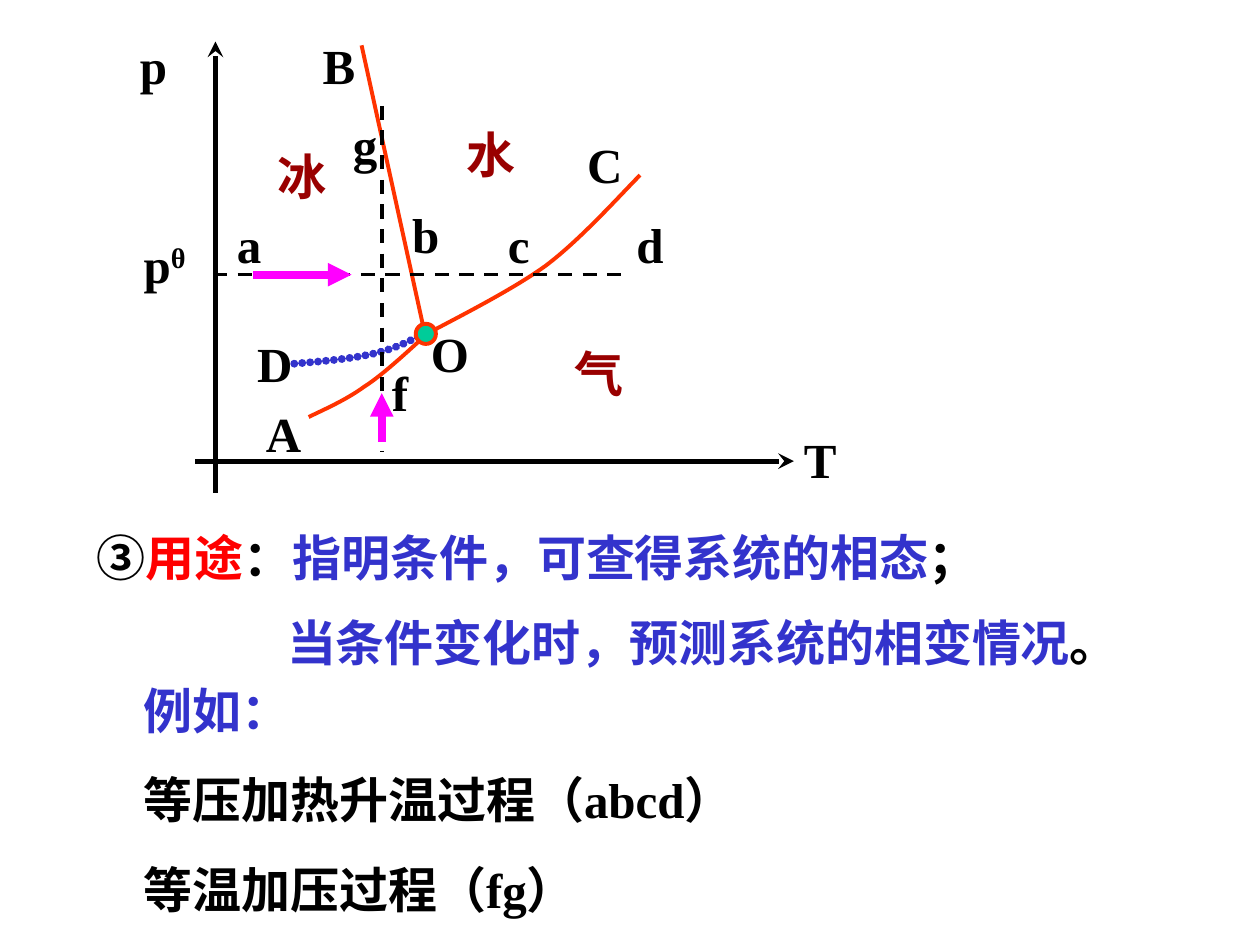
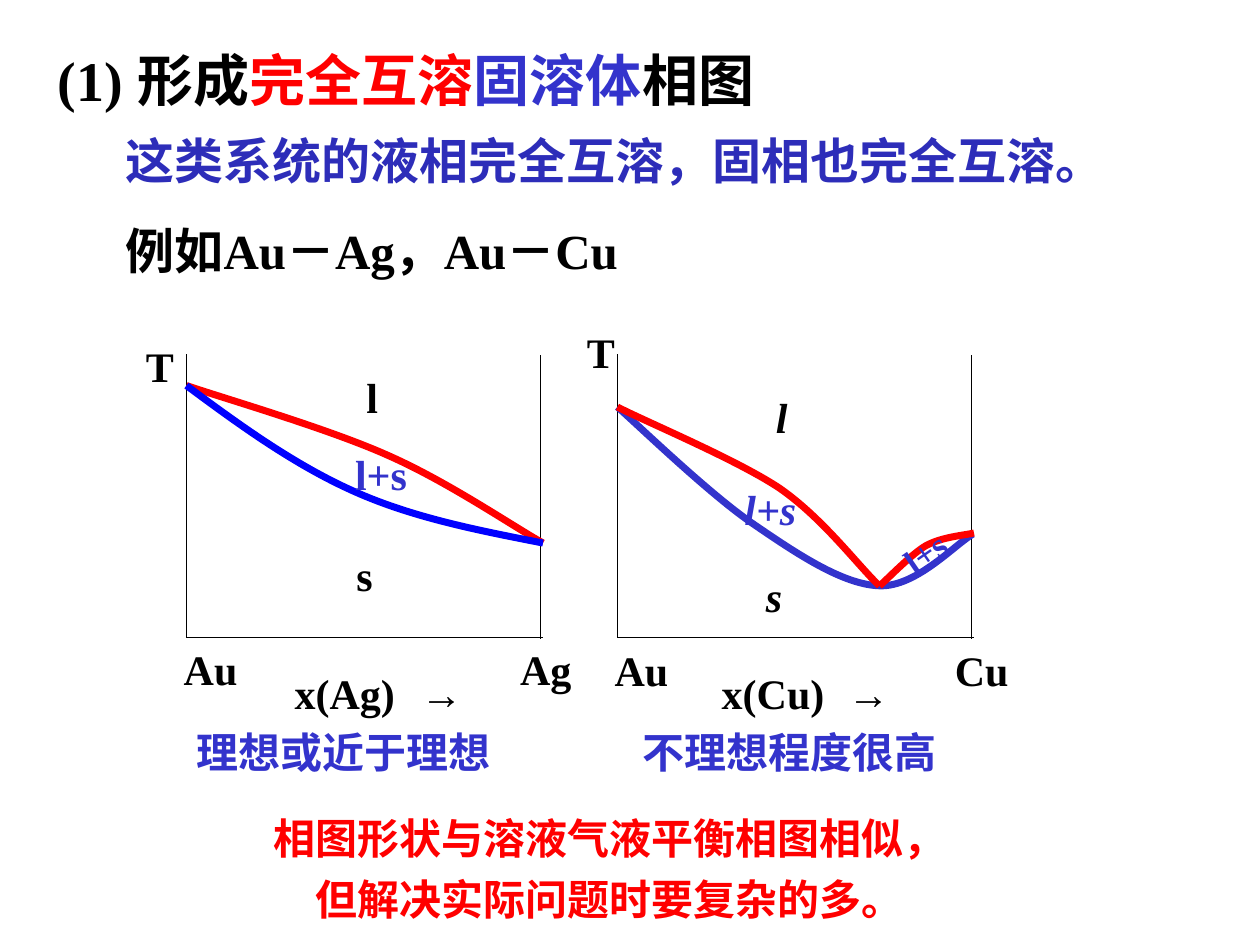
from lxml.etree import SubElement
from pptx import Presentation
from pptx.dml.color import RGBColor
from pptx.enum.dml import MSO_LINE
from pptx.enum.shapes import MSO_CONNECTOR, MSO_SHAPE
from pptx.enum.text import PP_ALIGN
from pptx.oxml.ns import qn
from pptx.util import Pt

SCALE = 9144
LATIN, CHINESE = "Times New Roman", "Noto Sans CJK SC"
BLACK, RED, INDIGO = "000000", "FF0000", "3333CC"
ORANGE, MAROON, MAGENTA, BLUE = "FF3300", "990000", "FF00FF", "0000FF"
colour = RGBColor.from_string


def add_text(slide, box, paragraphs, size, inset=True, space=0, align=PP_ALIGN.LEFT, italic=None):
    shape = slide.shapes.add_textbox(*[value * SCALE for value in box])
    frame = shape.text_frame
    side, top = (10 * SCALE, 5 * SCALE) if inset else (0, 0)
    frame_format = {"word_wrap": True, "margin_left": side, "margin_right": side,
                    "margin_top": top, "margin_bottom": top}
    for name, value in frame_format.items():
        setattr(frame, name, value)
    for index, pieces in enumerate(paragraphs):
        paragraph = frame.add_paragraph() if index else frame.paragraphs[0]
        paragraph.alignment = align
        if index:
            paragraph.space_before = Pt(space)
        for text, hex_colour in pieces:
            run = paragraph.add_run()
            run.text = text
            font_format = {"name": LATIN, "size": Pt(size), "bold": True, "italic": italic}
            for name, value in font_format.items():
                setattr(run.font, name, value)
            run.font.color.rgb = colour(hex_colour)
            SubElement(run._r.get_or_add_rPr(), qn("a:ea"), typeface=CHINESE)
    return shape


def add_path(slide, points, hex_colour, width, arrow=None, dash=None):
    if len(points) == 2:
        ends = [value * SCALE for point in points for value in point]
        shape = slide.shapes.add_connector(MSO_CONNECTOR.STRAIGHT, *ends)
    else:
        builder = slide.shapes.build_freeform(*points[0], scale=SCALE)
        builder.add_line_segments(points[1:], close=False)
        shape = builder.convert_to_shape()
        shape.fill.background()
        outline = shape._element.find(".//" + qn("a:path"))
        segments = outline.findall(qn("a:lnTo"))
        for start in range(0, len(segments), 3):
            curve = SubElement(outline, qn("a:cubicBezTo"))
            for segment in segments[start:start + 3]:
                curve.append(segment[0])
                outline.remove(segment)
    shape.line.color.rgb = colour(hex_colour)
    shape.line.width = Pt(width)
    if dash:
        shape.line.dash_style = dash
    if arrow:
        SubElement(shape.line._get_or_add_ln(), qn("a:tailEnd"), type=arrow)
    SubElement(shape._element.spPr, qn("a:effectLst"))
    return shape


presentation = Presentation()
presentation.slide_width = 1000 * SCALE
presentation.slide_height = 750 * SCALE
blank = presentation.slide_layouts[6]

water = presentation.slides.add_slide(blank)

for axis in ([(155, 366), (630, 366)], [(171, 391), (171, 33)]):
    add_path(water, axis, BLACK, 3, "stealth")

boundaries = [
    [(337, 266), (353, 257), (404, 232), (433, 211), (461, 190), (493, 154), (508, 139)],
    [(287, 36), (337, 264)],
    [(338, 266), (330, 273), (305, 297), (289, 307), (274, 318), (255, 326), (245, 331)],
]
for boundary in boundaries:
    add_path(water, boundary, ORANGE, 2.25)

supercooled = add_path(water, [(337, 264), (325, 271), (313, 277), (295, 281),
                               (277, 285), (253, 287), (229, 289)], INDIGO, 4.5)
outline = supercooled.line._get_or_add_ln()
outline.set("cap", "rnd")
SubElement(SubElement(outline, qn("a:custDash")), qn("a:ds"), d="100000", sp="1000")

triple_point = water.shapes.add_shape(MSO_SHAPE.OVAL, *[value * SCALE for value in (330, 257, 16, 16)])
triple_point.shadow.inherit = False
triple_point.fill.solid()
triple_point.fill.fore_color.rgb = colour("00CC99")
triple_point.line.color.rgb = colour(ORANGE)
triple_point.line.width = Pt(2.25)

for process in ([(169, 218), (497, 218)], [(303, 84), (303, 359)]):
    add_path(water, process, BLACK, 2, dash=MSO_LINE.DASH)
for direction in ([(201, 218), (279, 218)], [(303, 351), (303, 312)]):
    add_path(water, direction, MAGENTA, 4.5, "triangle")

water_labels = [
    ("O", 342, 257, BLACK), ("B", 256, 28, BLACK), ("C", 466, 107, BLACK),
    ("A", 211, 320, BLACK), ("D", 204, 265, BLACK), ("p", 111, 28, BLACK),
    ("T", 638, 341, BLACK), ("a", 188, 170, BLACK), ("b", 327, 162, BLACK),
    ("c", 403, 170, BLACK), ("d", 505, 170, BLACK), ("f", 311, 288, BLACK),
    ("g", 280, 91, BLACK), ("冰", 220, 116, MAROON), ("水", 370, 99, MAROON),
    ("气", 456, 273, MAROON),
]
for text, left, top, hex_colour in water_labels:
    add_text(water, (left, top, 58, 47), [[(text, hex_colour)]], 28, inset=False)

pressure = add_text(water, (114, 186, 71, 47), [[("p", BLACK), ("θ", BLACK)]], 28, inset=False)
pressure.text_frame.paragraphs[0].runs[1]._r.get_or_add_rPr().set("baseline", "30000")

add_text(water, (114, 540, 788, 189), [
    [("例如：", INDIGO)],
    [("等压加热升温过程（abcd）", BLACK)],
    [("等温加压过程（fg）", BLACK)],
], 28, inset=False, space=17.5)

usage = add_text(water, (67, 414, 890, 171), [
    [("③", BLACK), ("用途", RED), ("：", BLACK), ("指明条件，可查得系统的相态", INDIGO), ("；", BLACK)],
    [("当条件变化时，预测系统的相变情况", INDIGO), ("。", BLACK)],
], 28, space=15)
first, second = usage.text_frame.paragraphs
first.runs[0].font.name = CHINESE
second._p.get_or_add_pPr().set("marL", str(151 * SCALE))

alloys = presentation.slides.add_slide(blank)

for left in (148, 490):
    right = left + 281
    for side in ([(left, 281), (left, 506)], [(left, 506), (right + 2, 506)], [(right, 282), (right, 507)]):
        add_path(alloys, side, BLACK, 0.75)

phase_curves = [
    (RED, [(148, 306), (174, 315), (260, 340), (307, 361), (355, 382), (406, 417), (431, 431)]),
    (BLUE, [(148, 306), (191, 338), (234, 369), (281, 390), (328, 411), (380, 421), (431, 431)]),
    (INDIGO, [(490, 323), (508, 339), (564, 393), (598, 416), (633, 440), (669, 464), (698, 465),
              (727, 466), (757, 433), (772, 424)]),
    (RED, [(490, 323), (511, 334), (583, 364), (618, 387), (653, 411), (681, 449), (698, 465)]),
    (RED, [(698, 465), (704, 460), (723, 440), (735, 433), (748, 426), (765, 425), (773, 423)]),
]
for hex_colour, points in phase_curves:
    add_path(alloys, points, hex_colour, 4)

alloy_labels = [
    ("T", 106, 265, 50, BLACK, None), ("T", 456, 254, 50, BLACK, None),
    ("Au", 136, 506, 67, BLACK, None), ("Ag", 403, 506, 70, BLACK, None),
    ("Au", 478, 507, 67, BLACK, None), ("Cu", 748, 507, 67, BLACK, None),
    ("l", 281, 290, 45, BLACK, None), ("s", 273, 431, 42, BLACK, None),
    ("l+s", 272, 351, 67, INDIGO, None), ("l", 606, 306, 45, BLACK, True),
    ("s", 598, 448, 42, BLACK, True), ("l+s", 581, 379, 67, INDIGO, True),
    ("理想或近于理想", 146, 572, 315, INDIGO, None),
    ("不理想程度很高", 500, 572, 324, INDIGO, None),
]
for text, left, top, width, hex_colour, italic in alloy_labels:
    add_text(alloys, (left, top, width, 50), [[(text, hex_colour)]], 24, italic=italic)

for text, left in (("x(Ag)\t→", 224), ("x(Cu)\t→", 563)):
    axis_title = add_text(alloys, (left, 525, 190, 50), [[(text, BLACK)]], 24)
    properties = axis_title.text_frame.paragraphs[0]._p.get_or_add_pPr()
    SubElement(SubElement(properties, qn("a:tabLst")), qn("a:tab"), pos=str(100 * SCALE), algn="l")

tilted = add_text(alloys, (706, 413, 67, 44), [[("l+s", INDIGO)]], 20)
tilted.rotation = 325.4

add_text(alloys, (46, 36, 721, 53), [
    [("(1) 形成", BLACK), ("完全互溶", RED), ("固溶体", INDIGO), ("相图", BLACK)],
], 32, inset=False)
add_text(alloys, (90, 99, 803, 128), [
    [("这类系统的液相完全互溶，固相也完全互溶。", "2D2DB9")],
    [("例如Au－Ag，Au－Cu", BLACK)],
], 28, space=17.5)
add_text(alloys, (43, 640, 882, 99), [
    [("相图形状与溶液气液平衡相图相似，", RED)],
    [("但解决实际问题时要复杂的多。", RED)],
], 24, space=6, align=PP_ALIGN.CENTER)

presentation.save("out.pptx")
